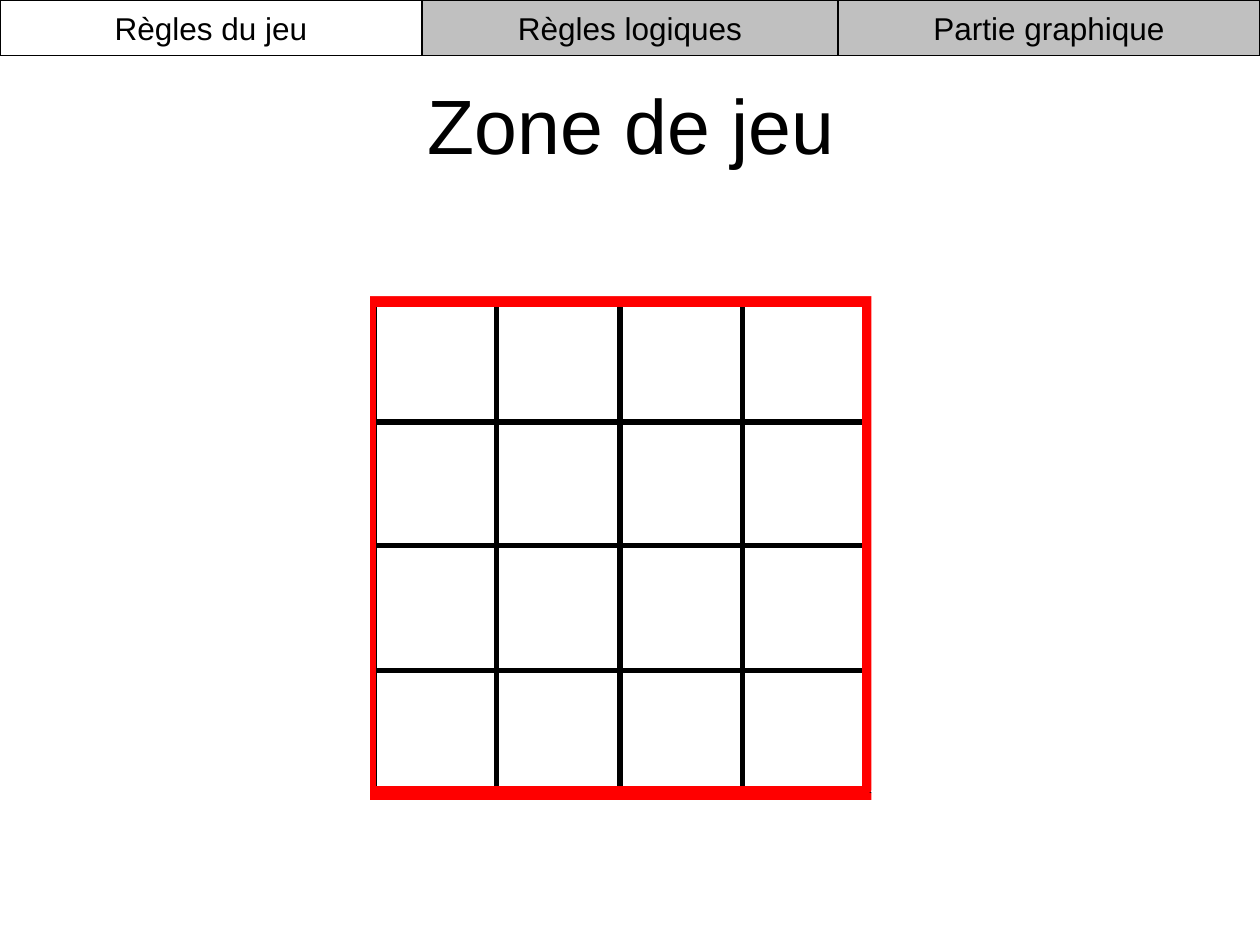
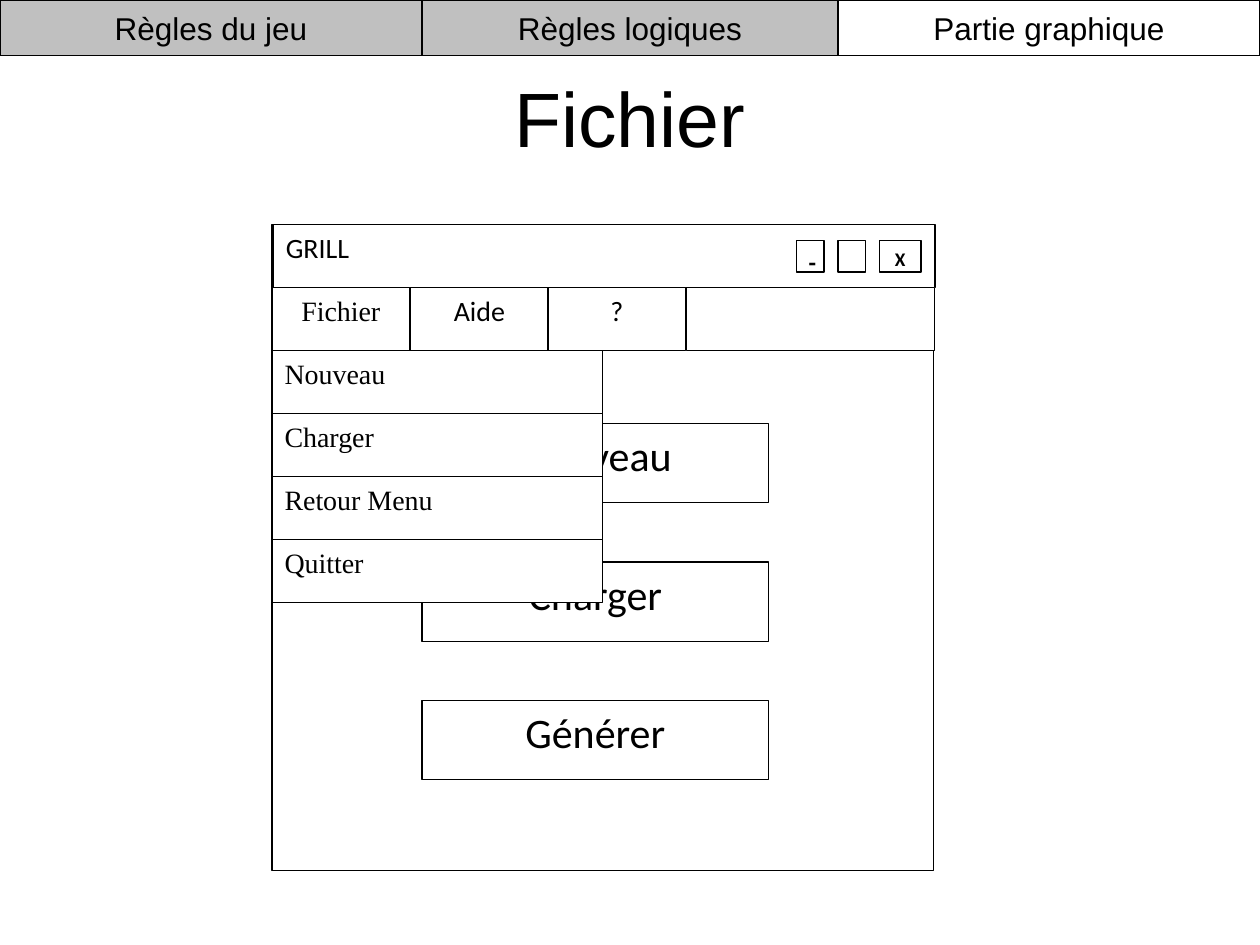
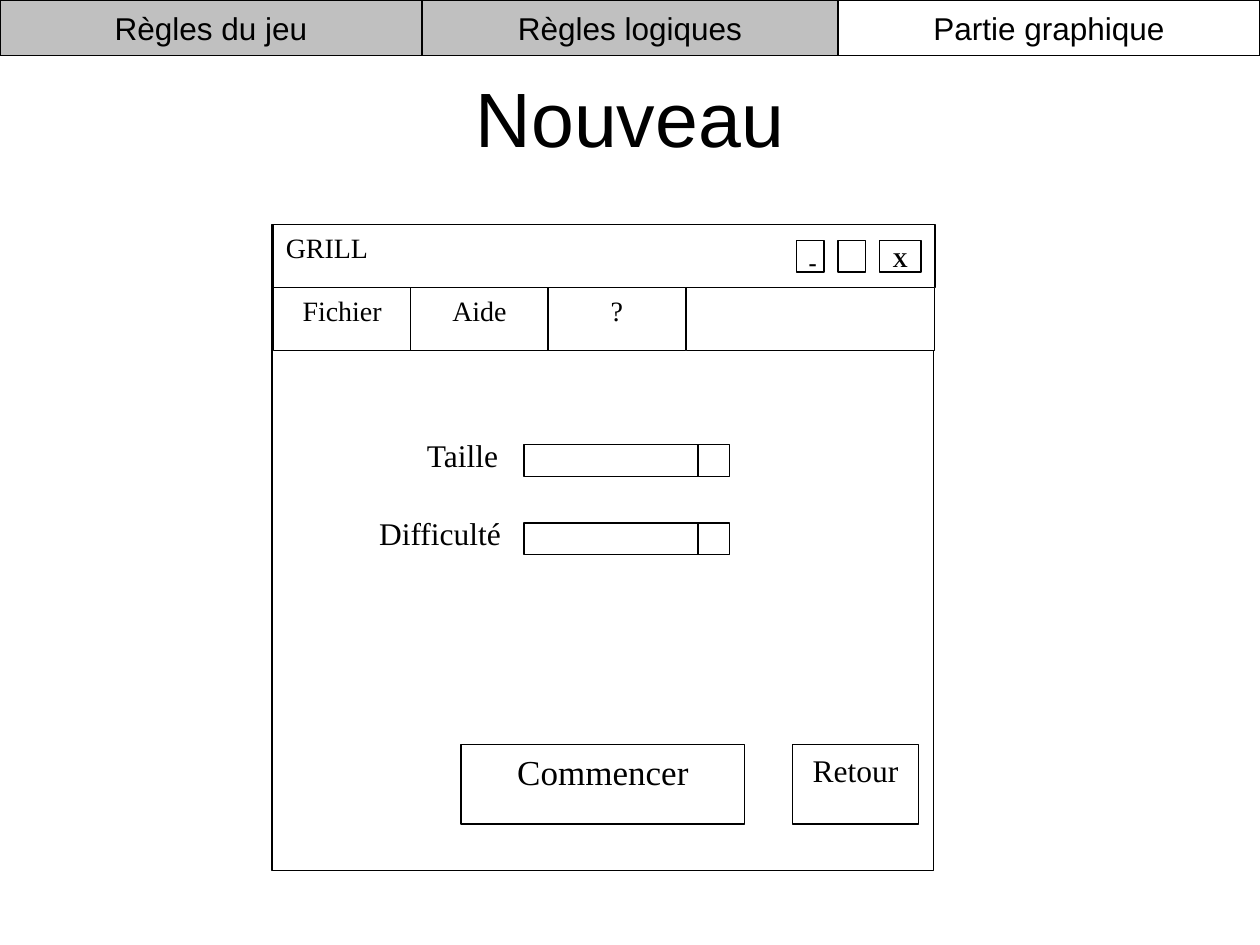
import pptx
import pptx.dml.color
import pptx.enum.shapes
import pptx.enum.text
import pptx.oxml
import pptx.oxml.ns
import pptx.util
from pptx.util import Inches

COLORS = {"ink": "000000", "paper": "FFFFFF", "tab": "C0C0C0", "frame": "FF0000"}
SANS, UI, SERIF = "Arial", "Calibri", "Times New Roman"
LEFT = pptx.enum.text.PP_ALIGN.LEFT
CENTER = pptx.enum.text.PP_ALIGN.CENTER
TOP = pptx.enum.text.MSO_ANCHOR.TOP
MIDDLE = pptx.enum.text.MSO_ANCHOR.MIDDLE
RECTANGLE = pptx.enum.shapes.MSO_SHAPE.RECTANGLE
ROUNDED = pptx.enum.shapes.MSO_SHAPE.ROUNDED_RECTANGLE

# The middle section spans the whole band; the outer two lie over it
SECTIONS = [("Règles logiques", 0, 10), ("Règles du jeu", 0, 3.35),
            ("Partie graphique", 6.65, 3.35)]
WINDOW_LEFT, WINDOW_TOP, WINDOW_WIDTH, WINDOW_HEIGHT = 2.16, 1.78, 5.25, 5.13
ROW = 0.5
MENU_TOP = WINDOW_TOP + ROW
MENU_WIDTH = 1.09


def color(name):
    return pptx.dml.color.RGBColor.from_string(COLORS[name])


def write(shape, text, font, size, align=CENTER, anchor=TOP, bold=False, wrap=True):
    frame = shape.text_frame
    frame.text = text
    frame.word_wrap = wrap
    frame.vertical_anchor = anchor
    paragraph = frame.paragraphs[0]
    paragraph.alignment = align
    for run in paragraph.runs:
        run.font.name = font
        run.font.size = pptx.util.Pt(size)
        run.font.bold = bold
        run.font.color.rgb = color("ink")


def add_box(slide, left, top, width, height, fill="paper", line="ink", weight=0.75,
            outline=RECTANGLE):
    box = slide.shapes.add_shape(
        outline, Inches(left), Inches(top), Inches(width), Inches(height))
    box.shadow.inherit = False
    if fill:
        box.fill.solid()
        box.fill.fore_color.rgb = color(fill)
    else:
        box.fill.background()
    if line:
        box.line.color.rgb = color(line)
        box.line.width = pptx.util.Pt(weight)
    else:
        box.line.fill.background()
    return box


def add_rule(slide, x1, y1, x2, y2):
    rule = slide.shapes.add_connector(
        pptx.enum.shapes.MSO_CONNECTOR.STRAIGHT,
        Inches(x1), Inches(y1), Inches(x2), Inches(y2))
    rule.line.color.rgb = color("ink")
    rule.line.width = pptx.util.Pt(3)
    properties = rule._element.spPr
    properties.append(pptx.oxml.parse_xml(
        f'<a:effectLst {pptx.oxml.ns.nsdecls("a")}/>'))


def add_title(slide, title, left=0.5, top=0.3):
    heading = slide.shapes.add_textbox(
        Inches(left), Inches(top), Inches(9), Inches(1.25))
    write(heading, title, SANS, 44, anchor=MIDDLE)


def add_band(slide, current):
    """Navigation band with the current section in white."""
    for name, left, width in SECTIONS:
        tab = add_box(slide, left, 0, width, 0.44, "paper" if name == current else "tab")
        write(tab, name, SANS, 18, anchor=MIDDLE, wrap=False)


def add_board(slide):
    """Four by four grid of overlapping strips, trimmed by white edges."""
    cell = 0.98
    column_top, column_height = 1.62, 5.43
    row_left, row_width = 2.2, 5.39
    for left, width in [(2.97, 3.9), (3.94, cell), (5.89, cell)]:
        add_box(slide, left, column_top, width, column_height, None, "ink", 3)
    for top, height in [(2.37, 3.94), (3.35, cell)]:
        add_box(slide, row_left, top, row_width, height, None, "ink", 3)
    add_rule(slide, 2.24, 5.32, 7.6, 5.32)

    # Red frame
    for place in [(2.96, column_top, 3.91, column_height),
                  (2.22, 2.38, 5.36, 3.94), (2.95, 2.41, 3.94, 3.86)]:
        add_box(slide, *place, None, "frame", 4)

    # White edges
    for left, top, angle in [(2.32, 1.4, 0), (-0.1, 3.79, 90),
                             (2.48, 6.35, 0), (4.83, 3.79, 90)]:
        edge = add_box(slide, left, top, 5.12, 0.95, line=None, outline=ROUNDED)
        edge.rotation = angle


def add_window(slide, font, close_size):
    """Application window: title bar, controls and menu bar."""
    add_box(slide, WINDOW_LEFT, WINDOW_TOP, WINDOW_WIDTH, WINDOW_HEIGHT, None)
    bar_left = WINDOW_LEFT + 0.01
    title_bar = add_box(slide, bar_left, WINDOW_TOP, WINDOW_WIDTH, ROW)
    write(title_bar, "GRILL", font, 16, LEFT)

    menus = ["Fichier", "Aide", "?"]
    for index, name in enumerate(menus):
        menu = add_box(slide, bar_left + index * MENU_WIDTH, MENU_TOP, MENU_WIDTH, ROW)
        write(menu, name, font, 16)
    add_box(slide, 5.45, MENU_TOP, 1.97, ROW)

    for symbol, left, width, size in [("X", 6.98, 0.33, close_size),
                                      ("", 6.65, 0.22, 14), ("-", 6.32, 0.22, 14)]:
        control = add_box(slide, left, 1.91, width, 0.25)
        if symbol:
            write(control, symbol, font, size, bold=True)


def add_button(slide, text, left, top, width, font, size):
    write(add_box(slide, left, top, width, 0.63), text, font, size)


def add_dropdown(slide, entries):
    """Opened Fichier menu."""
    opened = add_box(slide, WINDOW_LEFT, MENU_TOP, MENU_WIDTH, ROW)
    write(opened, "Fichier", SERIF, 16)
    for index, name in enumerate(entries, 1):
        entry = add_box(slide, WINDOW_LEFT, MENU_TOP + index * ROW, 2.62, ROW)
        write(entry, name, SERIF, 16, LEFT)


def add_selector(slide, text, top, label_width):
    """Label followed by a drop-down field."""
    field_left, field_top = 4.16, top + 0.12
    label = add_box(slide, field_left - label_width, top, label_width, 0.5, line=None)
    write(label, text, SERIF, 18, LEFT)
    add_box(slide, field_left, field_top, 1.62, 0.25)
    add_box(slide, 5.54, field_top, 0.25, 0.25)


def main():
    deck = pptx.Presentation()
    deck.slide_width, deck.slide_height = Inches(10), Inches(7.5)
    board_page, file_page, new_page = [
        deck.slides.add_slide(deck.slide_layouts[6]) for _ in range(3)]

    # Playing area
    add_title(board_page, "Zone de jeu", 0.51, 0.36)
    add_board(board_page)
    add_band(board_page, "Règles du jeu")

    # File menu
    add_title(file_page, "Fichier")
    add_window(file_page, UI, 11)
    for index, name in enumerate(["Nouveau", "Charger", "Générer"]):
        add_button(file_page, name, 3.35, 3.36 + index * 1.1, 2.75, UI, 24)
    add_dropdown(file_page, ["Nouveau", "Charger", "Retour Menu", "Quitter"])
    add_band(file_page, "Partie graphique")

    # New game form
    add_title(new_page, "Nouveau")
    add_window(new_page, SERIF, 12)
    add_selector(new_page, "Taille", 3.41, 0.87)
    add_selector(new_page, "Difficulté", 4.03, 1.25)
    add_button(new_page, "Commencer", 3.66, 5.91, 2.25, SERIF, 20)
    add_button(new_page, "Retour", 6.29, 5.91, 1, SERIF, 18)
    add_band(new_page, "Partie graphique")

    deck.save("out.pptx")


if __name__ == "__main__":
    main()
